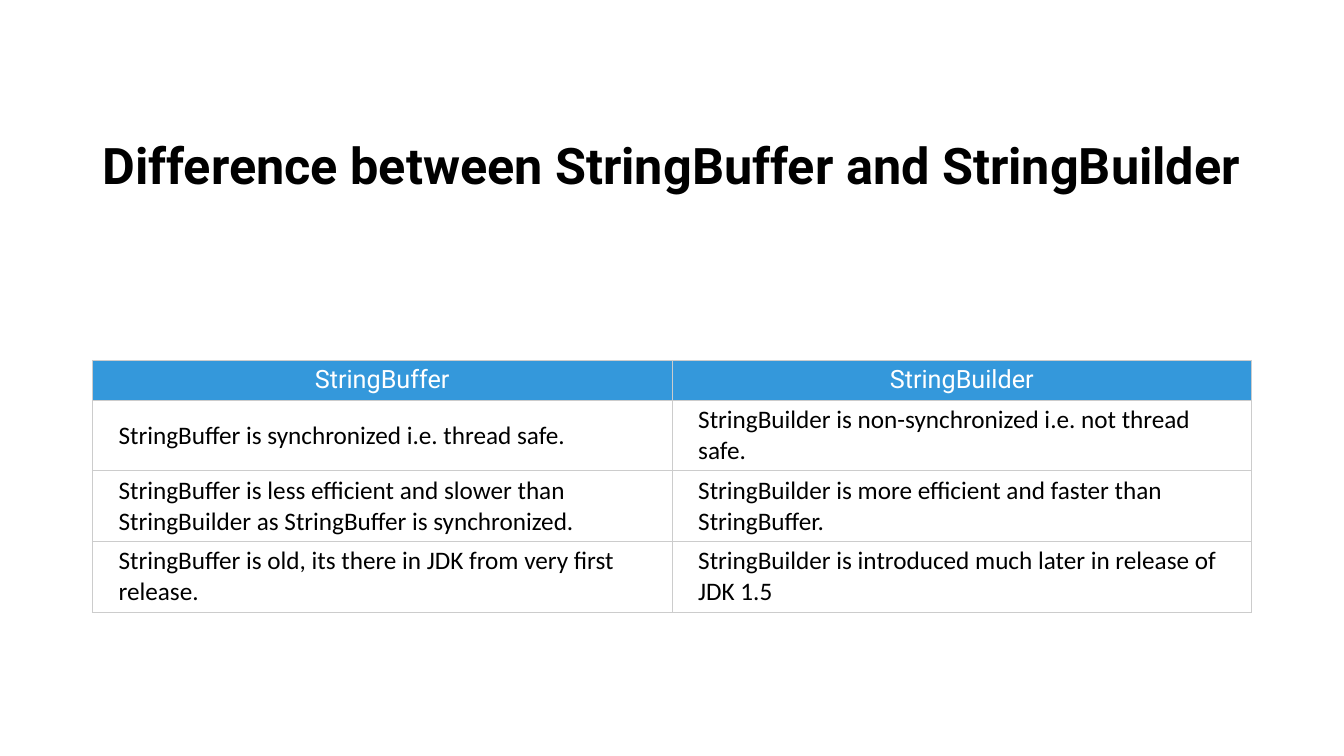
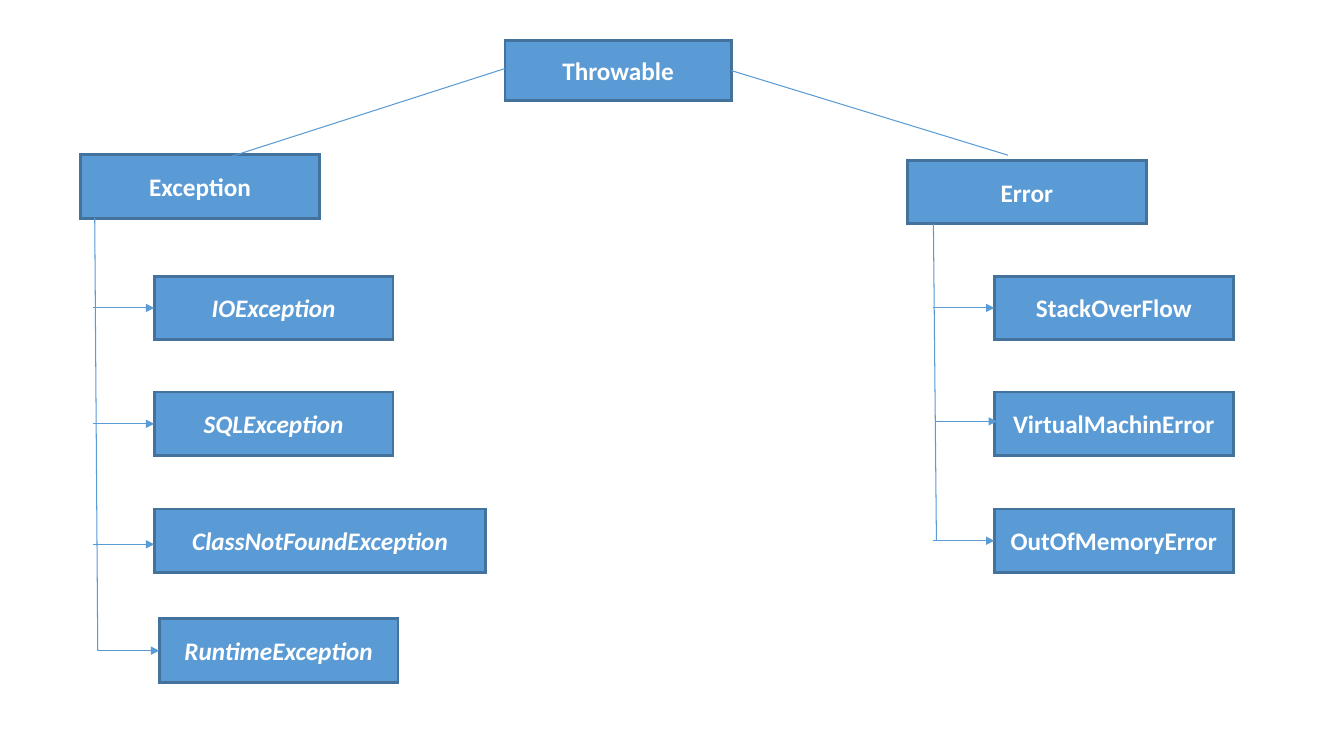
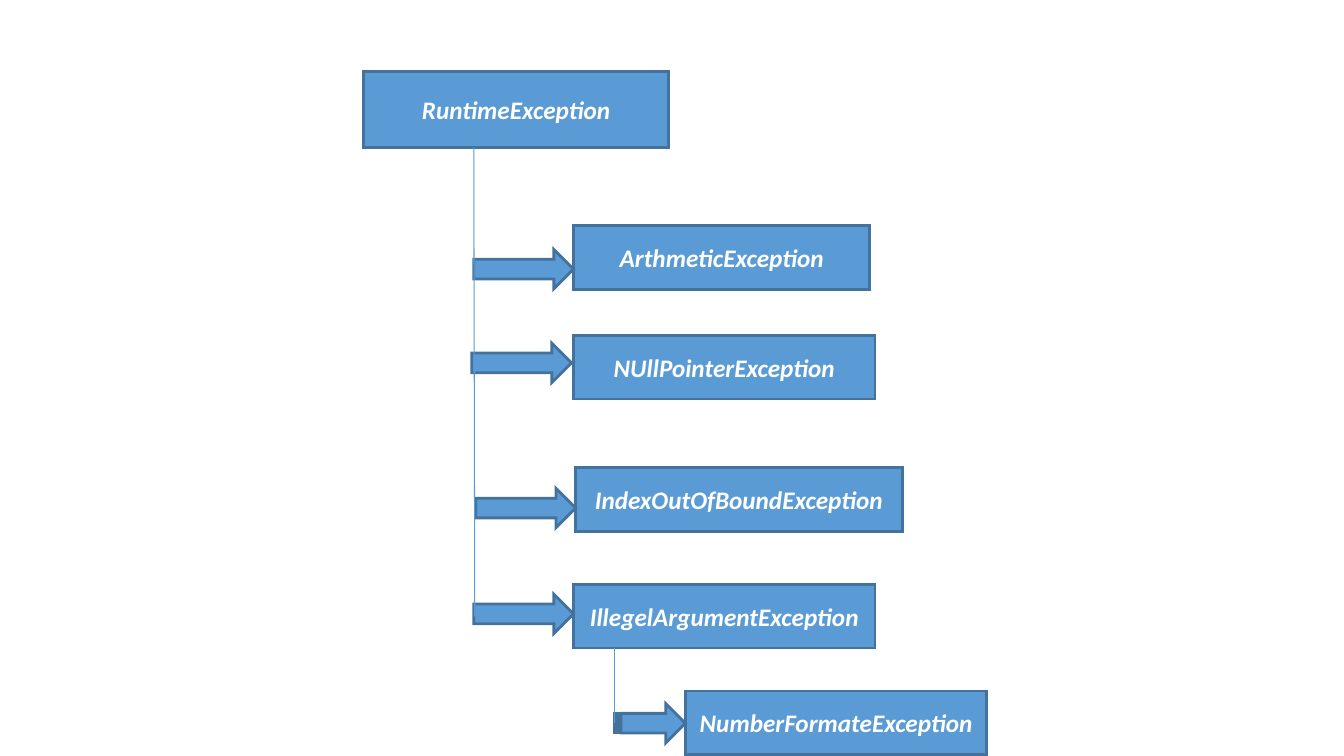
from dataclasses import dataclass

import lxml.etree
import pptx
import pptx.dml.color
import pptx.enum.shapes
import pptx.enum.text
import pptx.oxml.ns
import pptx.util

SHAPES = pptx.enum.shapes.MSO_SHAPE
ALIGN = pptx.enum.text.PP_ALIGN
MIDDLE = pptx.enum.text.MSO_ANCHOR.MIDDLE
LEFT_SIDE, RIGHT_SIDE = 1, 3
COLUMNS, ROWS = 133.33, 75  # slide grid; every length below counts its cells


@dataclass(frozen=True)
class Theme:
    blue: str = "5B9BD5"
    outline: str = "43729D"
    header: str = "3498DB"
    border: str = "CCCCCC"
    white: str = "FFFFFF"
    black: str = "000000"
    body_font: str = "Calibri"
    title_font: str = "Roboto"
    body_size: int = 18
    title_size: int = 36
    outline_width: float = 2
    thin_width: float = 0.75


THEME = Theme()


@dataclass(frozen=True)
class Box:
    left: float
    top: float
    width: float
    height: float

    @property
    def bottom(self):
        return self.top + self.height

    @property
    def middle(self):
        return self.top + self.height / 2

    def emu(self):
        return [grid(value) for value in (self.left, self.top, self.width, self.height)]


@dataclass(frozen=True)
class Child:
    """A box set off from its parent; its arrow may sit off the middle of its left side."""
    name: str
    right: float
    down: float
    width: float = 23.7
    arrow_right: float = 0
    arrow_down: float = 0

    def box(self, parent):
        return Box(parent.left + self.right, parent.top + self.down, self.width, 6.3)


def grid(cells):
    return pptx.util.Inches(cells / 10)


def rgb(value):
    return pptx.dml.color.RGBColor.from_string(value)


def add_tag(parent, name, **attributes):
    return lxml.etree.SubElement(parent, pptx.oxml.ns.qn(name), **attributes)


def fill_solid(target, color):
    target.fill.solid()
    target.fill.fore_color.rgb = rgb(color)


def write(text_frame, text, color, font=THEME.body_font, size=THEME.body_size,
          align=ALIGN.LEFT, bold=False, italic=False):
    text_frame.word_wrap = True
    text_frame.text = text
    paragraph = text_frame.paragraphs[0]
    paragraph.alignment = align
    run_font = paragraph.runs[0].font
    run_font.name, run_font.size = font, pptx.util.Pt(size)
    run_font.bold, run_font.italic = bold, italic
    run_font.color.rgb = rgb(color)


def add_block(slide, kind, box):
    shape = slide.shapes.add_shape(kind, *box.emu())
    shape.shadow.inherit = False
    fill_solid(shape, THEME.blue)
    shape.line.color.rgb = rgb(THEME.outline)
    shape.line.width = pptx.util.Pt(THEME.outline_width)
    add_tag(shape.line._get_or_add_ln(), "a:miter", lim="800000")
    return shape


def add_node(slide, box, name, italic=False):
    shape = add_block(slide, SHAPES.RECTANGLE, box)
    shape.text_frame.vertical_anchor = MIDDLE
    write(shape.text_frame, name, THEME.white, align=ALIGN.CENTER, bold=True, italic=italic)
    return shape


def add_line(slide, start, end, arrow=False):
    points = [grid(value) for value in (*start, *end)]
    line = slide.shapes.add_connector(pptx.enum.shapes.MSO_CONNECTOR.STRAIGHT, *points)
    line.line.color.rgb = rgb(THEME.blue)
    line.line.width = pptx.util.Pt(THEME.thin_width)
    if arrow:
        add_tag(line.line._get_or_add_ln(), "a:tailEnd", type="triangle")
    add_tag(line._element.spPr, "a:effectLst")
    return line


def add_branch(slide, parent, trunk, children, arrow_length, italic=True, lean=0.0,
               block_arrow=None):
    """Hang children on a trunk that starts trunk cells from the parent's left edge."""
    trunk_left = parent.left + trunk
    last_middle = children[-1].box(parent).middle
    for child in children:
        box = child.box(parent)
        node = add_node(slide, box, child.name, italic)
        tip = box.left + child.arrow_right
        start, level = tip - arrow_length, box.middle + child.arrow_down
        if block_arrow:
            add_block(slide, block_arrow, Box(start, level - 1.95, arrow_length, 3.9))
        else:
            arrow = add_line(slide, (start, level), (tip, level), True)
            if not (child.arrow_right or child.arrow_down):
                arrow.end_connect(node, LEFT_SIDE)
    add_line(slide, (trunk_left, parent.bottom), (trunk_left + lean, last_middle))


def add_title(slide, box, text):
    title = slide.shapes.add_shape(SHAPES.RECTANGLE, *box.emu())
    title.shadow.inherit = False
    fill_solid(title, THEME.white)
    title.line.fill.background()
    title.text_frame.vertical_anchor = MIDDLE
    title.text_frame.margin_top, title.text_frame.margin_bottom = grid(2), grid(6.4)
    title.text_frame.margin_right = 0
    write(title.text_frame, text, THEME.black, THEME.title_font, THEME.title_size, bold=True)


def style_cell(cell, fill):
    cell.vertical_anchor = MIDDLE
    cell.margin_left = cell.margin_right = grid(2.6)
    cell.margin_top = cell.margin_bottom = grid(0.45)
    properties = cell._tc.get_or_add_tcPr()
    for side in ("a:lnL", "a:lnR", "a:lnT", "a:lnB"):
        border = add_tag(properties, side, w=str(pptx.util.Pt(THEME.thin_width)))
        add_tag(add_tag(border, "a:solidFill"), "a:srgbClr", val=THEME.border)
    fill_solid(cell, fill)


def add_comparison(slide, box, rows, header_height):
    table = slide.shapes.add_table(len(rows), len(rows[0]), *box.emu()).table
    table.first_row = table.horz_banding = False
    body_height = (box.height - header_height) / (len(rows) - 1)
    for row_index, texts in enumerate(rows):
        is_header = row_index == 0
        table.rows[row_index].height = grid(header_height if is_header else body_height)
        for column_index, text in enumerate(texts):
            cell = table.cell(row_index, column_index)
            style_cell(cell, THEME.header if is_header else THEME.white)
            if is_header:
                write(cell.text_frame, text, THEME.white, THEME.title_font, align=ALIGN.CENTER)
            else:
                write(cell.text_frame, text, THEME.black)


def build_comparison_slide(slide):
    add_comparison(slide, Box(9.17, 35.75, 115, 24.9), [
        ("StringBuffer", "StringBuilder"),
        ("StringBuffer is synchronized i.e. thread safe.",
         "StringBuilder is non-synchronized i.e. not thread safe."),
        ("StringBuffer is less efficient and slower than StringBuilder as StringBuffer "
         "is synchronized.",
         "StringBuilder is more efficient and faster than StringBuffer."),
        ("StringBuffer is old, its there in JDK from very first release.",
         "StringBuilder is introduced much later in release of JDK 1.5"),
    ], header_height=3.95)
    add_title(slide, Box(9.17, 9.6, 115, 17.8),
              "Difference between StringBuffer and StringBuilder")


def build_throwable_slide(slide):
    # Root and its two families
    root = add_node(slide, Box(50.1, 4, 22.45, 6), "Throwable")
    exception, error = Box(8, 15.35, 23.7, 6.3), Box(90, 15.9, 23.75, 6.3)
    add_node(slide, exception, "Exception")
    add_node(slide, error, "Error")
    add_line(slide, (50.1, 6.8), (19.9, 16.5))
    add_line(slide, (72.55, 7), (100, 15.4)).begin_connect(root, RIGHT_SIDE)

    # Members of each family
    add_branch(slide, exception, 1.4, [
        Child("IOException", 7.3, 12.05),
        Child("SQLException", 7.3, 23.55),
        Child("ClassNotFoundException", 7.3, 35.15, 32.9, arrow_down=0.35),
        Child("RuntimeException", 7.8, 46.05),
    ], arrow_length=6.05, lean=0.3)
    add_branch(slide, error, 2.6, [
        Child("StackOverFlow", 8.65, 11.5),
        Child("VirtualMachinError", 8.65, 23, arrow_right=0.25, arrow_down=-0.25),
        Child("OutOfMemoryError", 8.65, 34.6),
    ], arrow_length=6.05, italic=False, lean=0.3)


def build_runtime_slide(slide):
    # Root with its direct subclasses
    root = Box(36.1, 7.1, 30.2, 7.5)
    illegal_argument = Child("IllegelArgumentException", 20.8, 50.9, 29.9, arrow_down=-0.25)
    add_node(slide, root, "RuntimeException", italic=True)
    add_branch(slide, root, 10.9, [
        Child("ArthmeticException", 20.8, 15.3, 29.4, arrow_down=1.15),
        Child("NUllPointerException", 20.8, 26.2, 29.9, arrow_right=-0.2, arrow_down=-0.45),
        Child("IndexOutOfBoundException", 21, 39.3, 32.4, arrow_down=0.85),
        illegal_argument,
    ], arrow_length=9.9, lean=0.1, block_arrow=SHAPES.RIGHT_ARROW)

    # Second level
    add_branch(slide, illegal_argument.box(root), 4.1, [
        Child("NumberFormateException", 11.1, 10.55, 29.9, arrow_down=0.05),
    ], arrow_length=7, block_arrow=SHAPES.STRIPED_RIGHT_ARROW)


def main():
    presentation = pptx.Presentation()
    presentation.slide_width, presentation.slide_height = grid(COLUMNS), grid(ROWS)
    blank = presentation.slide_layouts[6]
    for build in (build_comparison_slide, build_throwable_slide, build_runtime_slide):
        build(presentation.slides.add_slide(blank))
    presentation.save("out.pptx")


if __name__ == "__main__":
    main()
